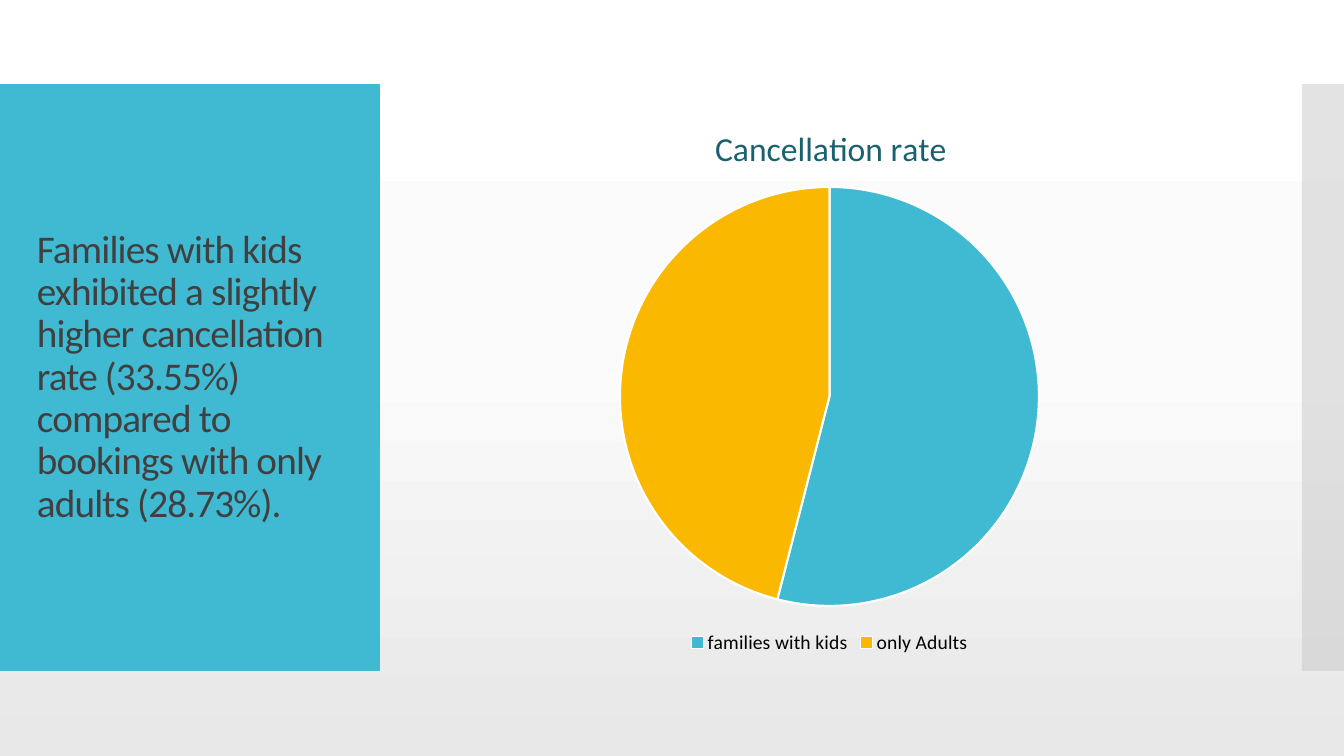
from copy import deepcopy

from lxml import etree
from pptx import Presentation
from pptx.chart.data import CategoryChartData
from pptx.dml.color import RGBColor
from pptx.enum import chart as ch, shapes, text
from pptx.oxml.ns import qn
from pptx.util import Emu, Pt

FONT = "Calibri"
TEAL = RGBColor(0x40, 0xBA, 0xD2)
AMBER = RGBColor(0xFA, 0xB9, 0x00)
DARK_TEAL = RGBColor(0x1A, 0x61, 0x6F)
SILVER = RGBColor(0xC8, 0xC8, 0xC8)
CHARCOAL = RGBColor(0x40, 0x40, 0x40)
BLACK = RGBColor(0, 0, 0)
WHITE = RGBColor(0xFF, 0xFF, 0xFF)

MESSAGE = ("Families with kids exhibited a slightly higher cancellation rate "
           "(33.55%) compared to bookings with only adults (28.73%).")
CHART_TITLE = "Cancellation rate"
SLICES = [("families with kids", 54, TEAL), ("only Adults", 46, AMBER)]
BACKGROUND = [(0, WHITE),
              (0.48, RGBColor(0xFB, 0xFB, 0xFB)),
              (1, RGBColor(0xE7, 0xE7, 0xE7))]

# left, top, width, height in px
SLIDE_W, SLIDE_H = 1344, 756
LEFT_PANEL = (0, 84, 380, 587)
RIGHT_PANEL = (1302, 84, 42, 587)
MESSAGE_BOX = (27, 124, 325, 507)
CHART_BOX = (426, 95, 807, 564)
PIE_BOX = (620, 187, 419, 419)
TITLE_CORNER = (709, 120)


def px(n):
    return Emu(round(n * 914400 / 100.8))


def box(rect):
    return [px(n) for n in rect]


def add_panel(slide, rect, color, opacity=100):
    sp = slide.shapes.add_shape(shapes.MSO_SHAPE.RECTANGLE, *box(rect))
    sp.shadow.inherit = False
    sp.line.fill.background()
    sp.fill.solid()
    sp.fill.fore_color.rgb = color
    if opacity < 100:
        clr = sp.fill._xPr.find(".//" + qn("a:srgbClr"))
        etree.SubElement(clr, qn("a:alpha")).set("val", str(opacity * 1000))


def style_font(font, size, color):
    font.name, font.size, font.bold = FONT, Pt(size), False
    font.color.rgb = color


def set_background(slide):
    fill = slide.background.fill
    fill.gradient()
    fill.gradient_angle = 270
    stops = fill.gradient_stops._gsLst
    stops.append(deepcopy(stops[0]))
    for stop, (position, color) in zip(fill.gradient_stops, BACKGROUND):
        stop.position = position
        stop.color.rgb = color


def place(before, rect, inner=False):
    """Insert a manual chart layout, from px on the slide, before an element."""
    parent = before.getparent()
    for old in parent.findall(qn("c:layout")):
        parent.remove(old)
    left, top, width, height = CHART_BOX
    fractions = [(rect[0] - left) / width, (rect[1] - top) / height]
    fractions += [n / d for n, d in zip(rect[2:], (width, height))]
    layout = etree.Element(qn("c:layout"))
    manual = etree.SubElement(layout, qn("c:manualLayout"))
    settings = [("layoutTarget", "inner")] if inner else []
    settings += [("xMode", "edge"), ("yMode", "edge")]
    settings += [(k, f"{f:.4f}") for k, f in zip("xywh", fractions)]
    for key, value in settings:
        etree.SubElement(manual, qn("c:" + key)).set("val", value)
    before.addprevious(layout)


def add_pie(slide):
    data = CategoryChartData()
    data.categories = [name for name, _, _ in SLICES]
    data.add_series("Series 1", [value for _, value, _ in SLICES])
    chart = slide.shapes.add_chart(
        ch.XL_CHART_TYPE.PIE, *box(CHART_BOX), data).chart
    style_font(chart.font, 10, BLACK)

    chart.has_title = True
    title = chart.chart_title
    r = title.text_frame.paragraphs[0].add_run()
    r.text = CHART_TITLE
    style_font(r.font, 24, DARK_TEAL)
    title.include_in_layout = False
    place(title._element.find(qn("c:overlay")), TITLE_CORNER)

    chart.has_legend = True
    chart.legend.position = ch.XL_LEGEND_POSITION.BOTTOM
    chart.legend.include_in_layout = False
    style_font(chart.legend.font, 14, BLACK)

    plot = chart.plots[0]
    plot.vary_by_categories = True
    place(plot._element, PIE_BOX, inner=True)
    for i, (_, _, color) in enumerate(SLICES):
        fmt = plot.series[0].points[i].format
        fmt.fill.solid()
        fmt.fill.fore_color.rgb = color
        fmt.line.color.rgb = WHITE
        fmt.line.width = Pt(1.5)


def add_message(slide):
    tf = slide.shapes.add_textbox(*box(MESSAGE_BOX)).text_frame
    tf.word_wrap = True
    tf.vertical_anchor = text.MSO_ANCHOR.MIDDLE
    p = tf.paragraphs[0]
    p.line_spacing = 0.9
    r = p.add_run()
    r.text = MESSAGE
    style_font(r.font, 28, CHARCOAL)
    r.font._element.set("spc", "-60")


def main():
    prs = Presentation()
    prs.slide_width, prs.slide_height = px(SLIDE_W), px(SLIDE_H)
    slide = prs.slides.add_slide(prs.slide_layouts[6])
    set_background(slide)
    add_panel(slide, LEFT_PANEL, TEAL)
    add_panel(slide, RIGHT_PANEL, SILVER, opacity=50)
    add_message(slide)
    add_pie(slide)
    prs.save("out.pptx")


if __name__ == "__main__":
    main()
